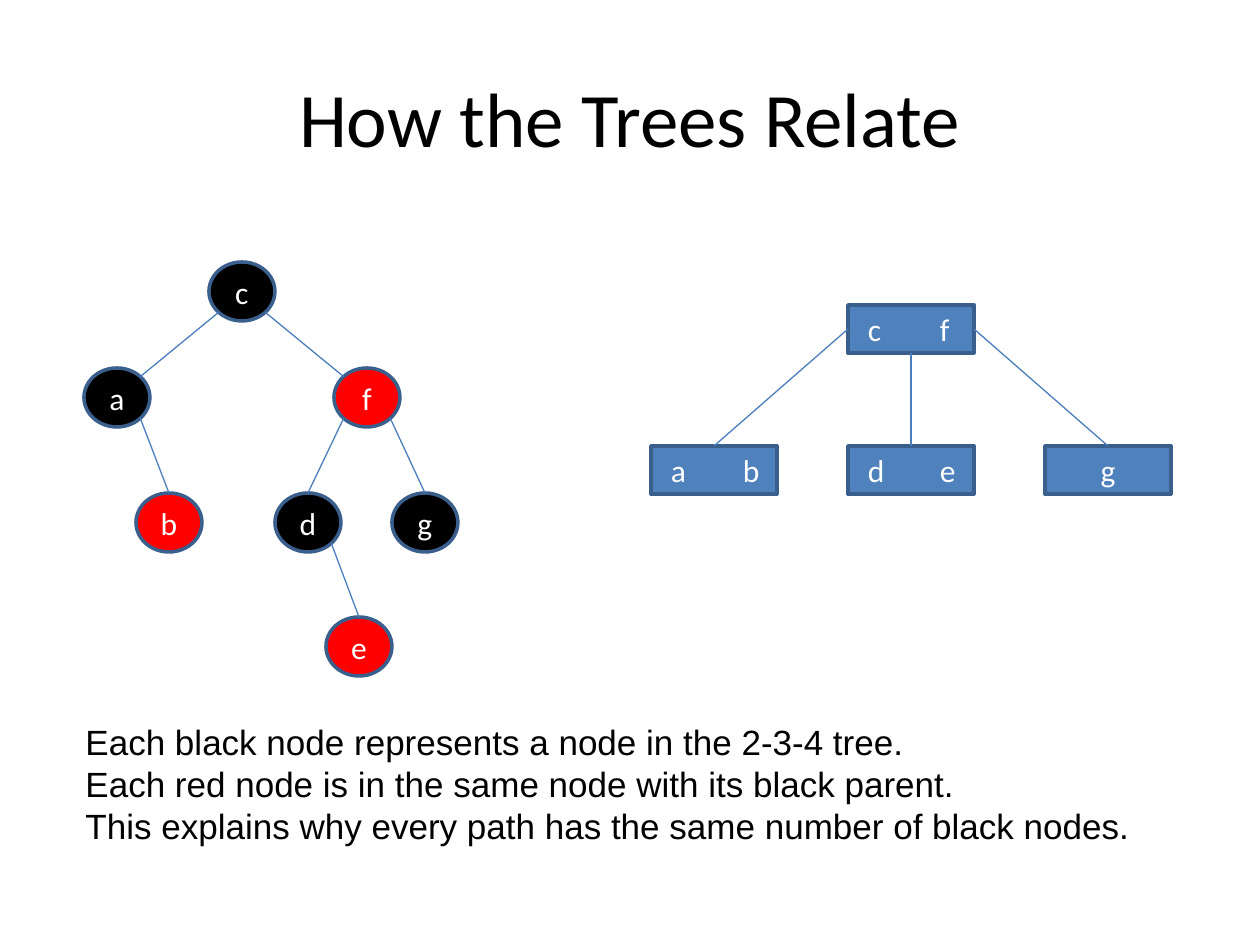
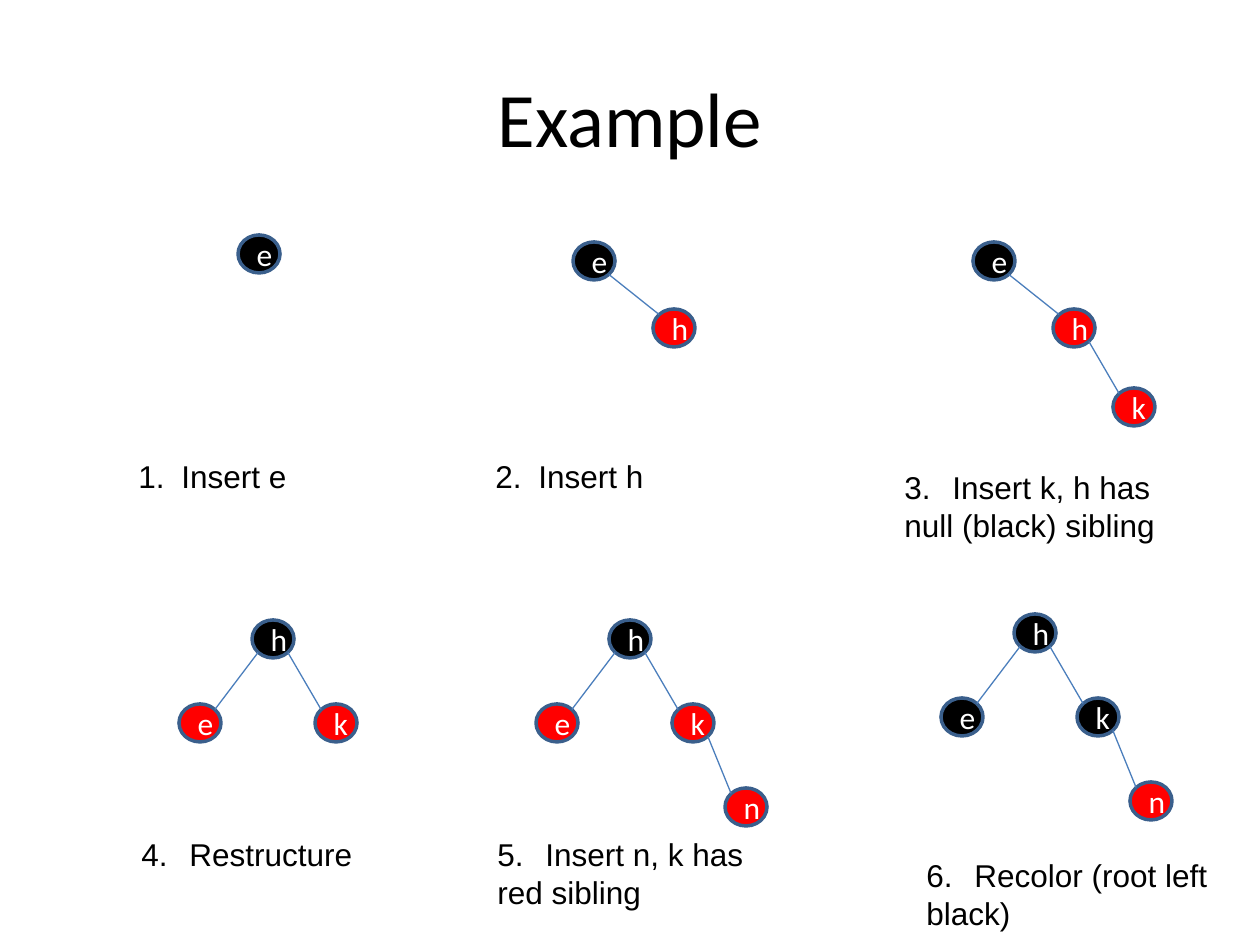
import math

import pptx
import pptx.dml.color
import pptx.enum.shapes
import pptx.enum.text
import pptx.oxml
import pptx.oxml.ns
import pptx.util

PIXEL = 914400 // 126
COLORS = {
    "black": "000000", "red": "FF0000", "white": "FFFFFF",
    "box": "4F81BD", "outline": "3A5F8C", "edge": "4B7EBC",
}
SHAPES = pptx.enum.shapes.MSO_SHAPE
ALIGN = pptx.enum.text.PP_ALIGN

# Trees: node -> (x, y from the root, parent)
RELATED = {
    "c": (0, 0, None), "a": (-125, 106, "c"), "f": (125, 106, "c"),
    "b": (-73, 231, "a"), "g": (183, 231, "f"), "d": (66, 231, "f"),
    "e": (117, 355, "d"),
}
CHAIN = {"e": (0, 0, None), "h": (80, 67, "e"), "k": (140, 146, "h")}
BALANCED = {"h": (0, 0, None), "e": (-73, 84, "h"), "k": (63, 84, "h"),
            "n": (116, 168, "k")}

# Steps: tree, nodes present, red nodes, root corner, caption box, indent, lines
STEPS = [
    (CHAIN, "e", "", (238, 235), (126, 451, 175, 50), 43, ["Insert e"]),
    (CHAIN, "eh", "h", (573, 242), (483, 451, 175, 50), 43, ["Insert h"]),
    (CHAIN, "ehk", "hk", (973, 242), (892, 462, 287, 89), 48,
     ["Insert k, h has", "null (black) sibling"]),
    (BALANCED, "hek", "ek", (252, 620), (129, 829, 246, 50), 48, ["Restructure"]),
    (BALANCED, "hekn", "ekn", (609, 620), (485, 829, 272, 89), 48,
     ["Insert n, k has", "red sibling"]),
    (BALANCED, "hekn", "n", (1014, 614), (914, 850, 325, 89), 48,
     ["Recolor (root left", "black)"]),
]


def px(value):
    return pptx.util.Emu(round(value * PIXEL))


def rgb(name):
    return pptx.dml.color.RGBColor.from_string(COLORS[name])


def set_font(paragraph, size, face, color):
    paragraph.font.size = pptx.util.Pt(size)
    paragraph.font.name = face
    paragraph.font.color.rgb = rgb(color)


def titled_slide(deck, heading):
    slide = deck.slides.add_slide(deck.slide_layouts[5])
    title = slide.shapes.title
    title.left, title.top, title.width, title.height = map(px, (63, 38, 1134, 157))
    title.text_frame.text = heading
    paragraph = title.text_frame.paragraphs[0]
    paragraph.alignment = ALIGN.CENTER
    set_font(paragraph, 44, "Calibri", "black")
    return slide


def add_node(shapes, kind, box, label, fill):
    node = shapes.add_shape(kind, *map(px, box))
    node.shadow.inherit = False
    node.fill.solid()
    node.fill.fore_color.rgb = rgb(fill)
    node.line.color.rgb = rgb("outline")
    node.line.width = pptx.util.Pt(2)
    node.text_frame.text = label
    paragraph = node.text_frame.paragraphs[0]
    paragraph.alignment = ALIGN.CENTER
    set_font(paragraph, 18, "Calibri", "white")
    return node


def add_edge(shapes, start, end):
    edge = shapes.add_connector(pptx.enum.shapes.MSO_CONNECTOR.STRAIGHT,
                                *map(px, (*start, *end)))
    edge.line.color.rgb = rgb("edge")
    edge.line.width = pptx.util.Pt(0.75)
    pptx.oxml.ns.qn("a:effectLst")
    properties = edge._element.spPr
    properties.append(properties.makeelement(pptx.oxml.ns.qn("a:effectLst"), {}))


def rim_point(corner, size, side, down):
    """Diagonal point on a node's rim; side and down are -1 or 1."""
    return tuple(c + s / 2 + sign * s / 2 * math.sqrt(0.5)
                 for c, s, sign in zip(corner, size, (side, down)))


def add_tree(shapes, tree, present, red, root, size, top_joined=""):
    corners = {name: (root[0] + tree[name][0], root[1] + tree[name][1])
               for name in present}
    for name, corner in corners.items():
        add_node(shapes, SHAPES.OVAL, (*corner, *size), name,
                 "red" if name in red else "black")
    for name, corner in corners.items():
        parent = tree[name][2]
        if parent is None:
            continue
        side = 1 if corner[0] > corners[parent][0] else -1
        if name in top_joined:
            end = (corner[0] + size[0] / 2, corner[1])
        else:
            end = rim_point(corner, size, -side, -1)
        add_edge(shapes, rim_point(corners[parent], size, side, 1), end)


def add_key_box(shapes, corner, size, keys):
    box = add_node(shapes, SHAPES.RECTANGLE, (*corner, *size), "\t".join(keys), "box")
    if len(keys) > 1:
        box.text_frame.margin_left = px(20)
        box.text_frame.margin_right = 0
        paragraph = box.text_frame.paragraphs[0]
        paragraph.alignment = ALIGN.LEFT
        paragraph._p.get_or_add_pPr().append(pptx.oxml.parse_xml(
            f'<a:tabLst {pptx.oxml.ns.nsdecls("a")}>'
            f'<a:tab pos="{px(72)}" algn="l"/></a:tabLst>'))


def add_text(slide, box, lines, size, number=None, indent=0):
    frame = slide.shapes.add_textbox(*map(px, box)).text_frame
    frame.word_wrap = True
    frame.text = "\n".join(lines)
    for paragraph in frame.paragraphs:
        set_font(paragraph, size, "Arial", "black")
        if indent:
            properties = paragraph._p.get_or_add_pPr()
            properties.set("marL", str(px(indent)))
            properties.set("indent", str(-px(indent)))
    if number:
        frame.paragraphs[0]._p.get_or_add_pPr().insert(0, pptx.oxml.parse_xml(
            f'<a:buAutoNum {pptx.oxml.ns.nsdecls("a")} '
            f'type="arabicPeriod" startAt="{number}"/>'))


def relation_slide(deck):
    slide = titled_slide(deck, "How the Trees Relate")

    # Red-black tree
    add_tree(slide.shapes.add_group_shape().shapes, RELATED, RELATED, "fbe",
             (209, 262), (66, 59), top_joined="bgde")

    # 2-3-4 tree
    shapes = slide.shapes.add_group_shape().shapes
    width, height = 126, 48
    root_x, root_y, child_y, step = 848, 305, 446, 197
    add_key_box(shapes, (root_x, root_y), (width, height), "cf")
    for place, keys in zip((-1, 0, 1), ("ab", "de", "g")):
        child_x = root_x + place * step
        add_key_box(shapes, (child_x, child_y), (width, height), keys)
        start = (root_x + width / 2 * (1 + place),
                 root_y + height / (2 if place else 1))
        add_edge(shapes, start, (child_x + width / 2, child_y))

    # Explanation
    add_text(slide, (73, 714, 1077, 140), [
        "Each black node represents a node in the 2-3-4 tree.",
        "Each red node is in the same node with its black parent.",
        "This explains why every path has the same number of black nodes.",
    ], 20)


def example_slide(deck):
    slide = titled_slide(deck, "Example")
    for number, step in enumerate(STEPS, 1):
        tree, present, red, root, caption_box, indent, lines = step
        add_tree(slide.shapes, tree, present, red, root, (42, 38))
        add_text(slide, caption_box, lines, 18, number, indent)


def main():
    deck = pptx.Presentation()
    deck.slide_width, deck.slide_height = px(1260), px(945)
    relation_slide(deck)
    example_slide(deck)
    deck.save("out.pptx")


main()
